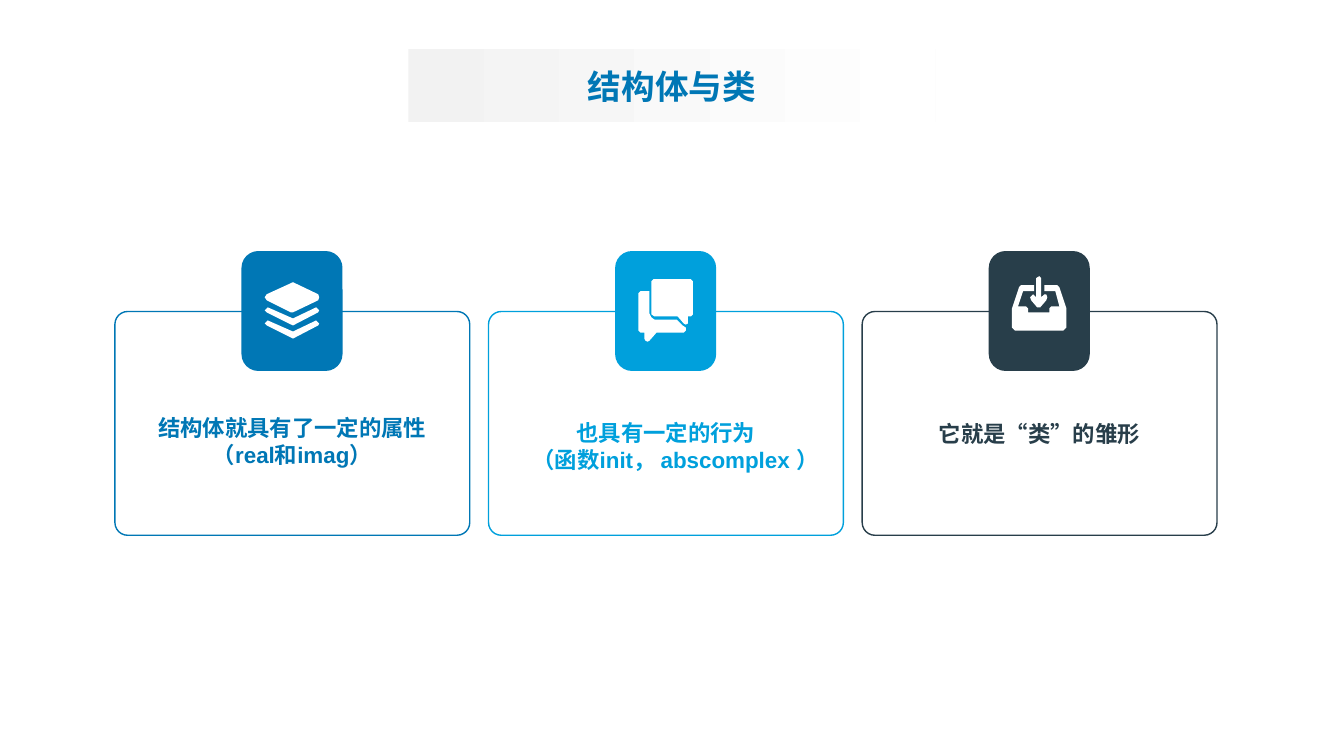
from lxml.etree import SubElement
from pptx import Presentation
from pptx.dml.color import RGBColor
from pptx.enum.shapes import MSO_SHAPE
from pptx.enum.text import MSO_ANCHOR, MSO_AUTO_SIZE, PP_ALIGN
from pptx.oxml.ns import qn
from pptx.util import Inches, Pt

BLUE = RGBColor(0x00, 0x77, 0xB5)
SKY = RGBColor(0x00, 0xA0, 0xDC)
SLATE = RGBColor(0x28, 0x3E, 0x4A)
PALE = RGBColor(0xF2, 0xF2, 0xF2)
WHITE = RGBColor(0xFF, 0xFF, 0xFF)

SHEET = [(3, 25), (28, 36), (51, 25), (54, 28), (53, 30), (28, 43), (26, 42), (2, 30), (0, 28)]
STACK = [
    [(2, 12), (26, 1), (28, 0), (30, 1), (53, 12), (54, 15), (53, 18),
     (28, 30), (26, 30), (2, 18), (0, 15)],
    SHEET,
    [(x, y + 13) for x, y in SHEET],
]
CHAT = [
    [(13, 2), (15, 0), (52, 0), (54, 2), (54, 35), (52, 37), (49, 37), (49, 44),
     (47, 45), (45, 44), (39, 37), (16, 37), (13, 35)],
    [(0, 14), (2, 12), (11, 12), (11, 34), (13, 38), (16, 40), (38, 40), (44, 46),
     (47, 48), (47, 51), (45, 53), (18, 53), (11, 61), (9, 62), (7, 61), (6, 59),
     (6, 53), (2, 53), (0, 51)],
]
INBOX = [
    [(3, 54), (0, 51), (0, 32), (7, 11), (9, 9), (22, 9), (22, 15), (11, 15),
     (6, 30), (14, 30), (16, 32), (16, 36), (37, 36), (37, 32), (39, 30), (47, 30),
     (43, 15), (32, 15), (32, 9), (45, 9), (47, 11), (54, 32), (54, 51), (51, 54)],
    [(24, 2), (27, 0), (29, 2), (29, 21), (32, 18), (34, 18), (35, 21), (34, 24),
     (28, 31), (25, 31), (19, 24), (18, 21), (21, 18), (24, 21)],
]

CARDS = [
    (BLUE, STACK, 37.33, 54.8, 8.27, ["结构体就具有了一定的属性", "（real和imag）"], 0),
    (SKY, CHAT, 36.93, 55.47, 15.87, ["也具有一定的行为", "（函数init， abscomplex ）"], 0.19),
    (SLATE, INBOX, 36.53, 55.6, 4.8, ["它就是“类”的雏形"], 0),
]


class Deck:
    face = "Arial"
    han = "Noto Sans CJK SC"

    def __init__(self):
        self.show = Presentation()
        self.show.slide_width = Inches(13.33)
        self.show.slide_height = Inches(7.5)
        self.slide = self.show.slides.add_slide(self.show.slide_layouts[5])
        self.shapes = self.slide.shapes

    def across(self, share):
        return round(self.show.slide_width * share / 100)

    def down(self, share):
        return round(self.show.slide_height * share / 100)

    def place(self, x, y, w, h):
        return self.across(x), self.down(y), self.across(w), self.down(h)

    def style(self, para, size, color, face):
        para.alignment = PP_ALIGN.CENTER
        for run in para.runs:
            font = run.font
            font.name, font.size, font.bold = face, Pt(size), True
            font.color.rgb = color
            SubElement(font._element, qn("a:ea"), typeface=self.han)

    def title(self, text, x, y, w, h):
        pill = self.shapes.title
        pill.left, pill.top, pill.width, pill.height = self.place(x, y, w, h)
        geom = SubElement(pill._element.spPr, qn("a:prstGeom"), prst="roundRect")
        guides = SubElement(geom, qn("a:avLst"))
        SubElement(guides, qn("a:gd"), name="adj", fmla="val 42300")
        pill.fill.gradient()
        pill.fill.gradient_angle = 0
        for stop, color in zip(pill.fill.gradient_stops, (PALE, WHITE)):
            stop.color.rgb = color
        frame = pill.text_frame
        frame.text = text
        frame.auto_size = MSO_AUTO_SIZE.NONE
        frame.vertical_anchor = MSO_ANCHOR.MIDDLE
        self.style(frame.paragraphs[0], 24, BLUE, self.han)

    def paint(self, shape, color):
        shape.shadow.inherit = False
        shape.fill.solid()
        shape.fill.fore_color.rgb = color
        shape.line.fill.background()

    def tile(self, color, *area):
        shape = self.shapes.add_shape(MSO_SHAPE.ROUNDED_RECTANGLE, *self.place(*area))
        self.paint(shape, color)

    def frame(self, color, *area):
        shape = self.shapes.add_shape(MSO_SHAPE.ROUNDED_RECTANGLE, *self.place(*area))
        shape.adjustments[0] = 0.057
        shape.shadow.inherit = False
        shape.fill.background()
        shape.line.color.rgb = color
        shape.line.width = Pt(1)

    def icon(self, loops, x, y):
        pen = self.shapes.build_freeform(*loops[0][0], scale=Inches(0.01))
        pen.add_line_segments(loops[0][1:], close=True)
        for loop in loops[1:]:
            pen.move_to(*loop[0])
            pen.add_line_segments(loop[1:], close=True)
        self.paint(pen.convert_to_shape(self.across(x), self.down(y)), WHITE)

    def label(self, lines, color, shift, *area):
        frame = self.shapes.add_textbox(*self.place(*area)).text_frame
        frame.word_wrap = False
        frame.margin_left = frame.margin_right = 0
        frame.margin_top = frame.margin_bottom = 0
        frame.text = "\n".join(lines)
        for para in frame.paragraphs:
            self.style(para, 16, color, self.face)
        if shift:
            frame.paragraphs[-1]._p.get_or_add_pPr().set("marL", str(Inches(shift)))

    def save(self):
        self.show.save("out.pptx")


def main():
    deck = Deck()
    deck.title("结构体与类", 30.38, 6.53, 39.23, 9.6)
    for col, (color, loops, peak, top, high, lines, shift) in enumerate(CARDS):
        left = 8.55 + col * 27.8
        deck.frame(color, left, 41.2, 26.4, 29.6)
        deck.tile(color, left + 9.42, 33.2, 7.52, 15.87)
        deck.icon(loops, left + 11.15, peak)
        deck.label(lines, color, shift, left + 1.2, top, 24, high)
    deck.save()


if __name__ == "__main__":
    main()
